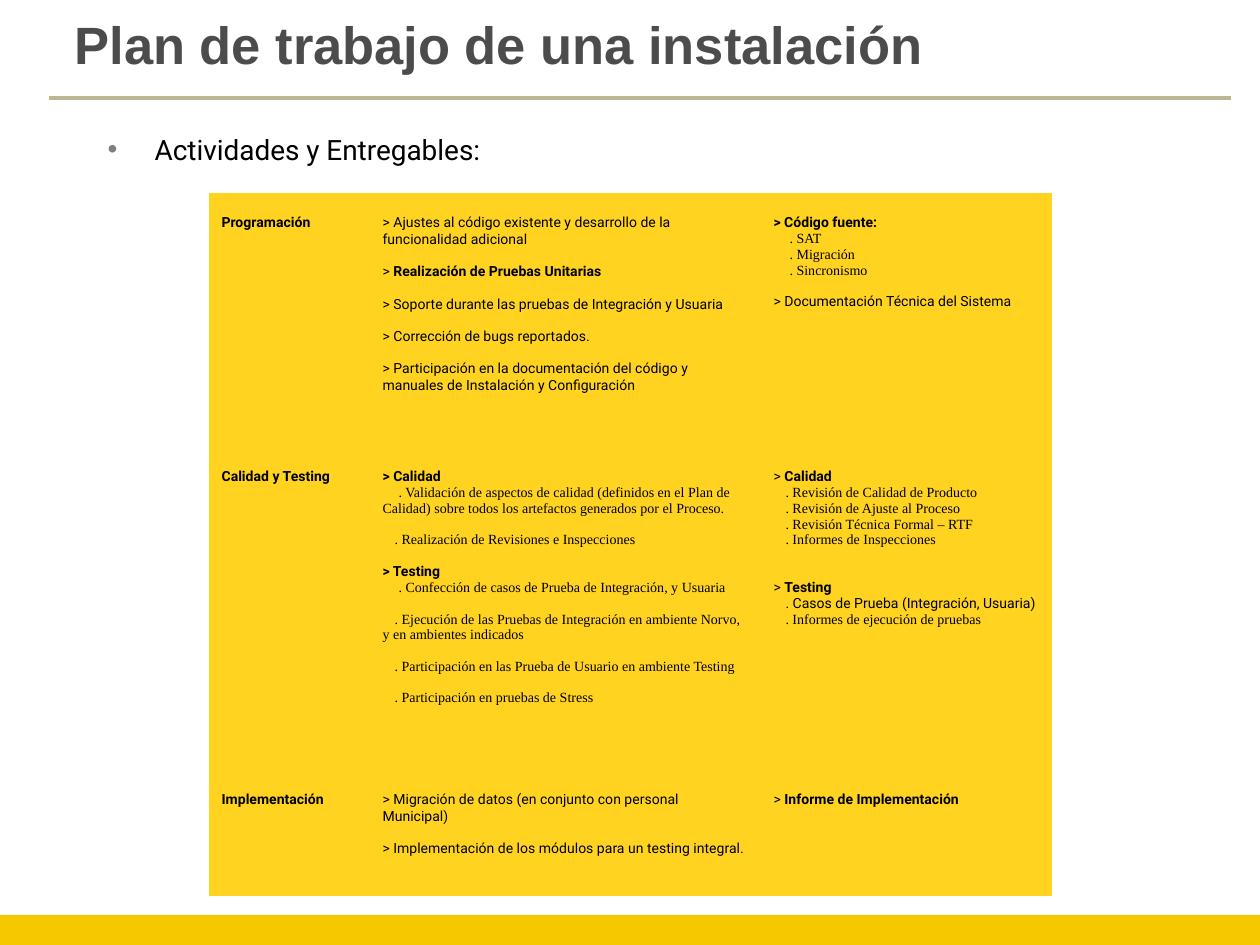
from dataclasses import dataclass

from lxml import etree
from pptx import Presentation
from pptx import util as u
from pptx.dml.color import RGBColor
from pptx.enum import shapes, text
from pptx.oxml import ns

PX = 914400 // 126
BLANK_LINE = 16
DEEP, SHALLOW = 16, 12  # first-line indents of the sub-items

BLACK = RGBColor(0x00, 0x00, 0x00)
DARK_GRAY = RGBColor(0x4C, 0x4C, 0x4C)
BULLET_GRAY = RGBColor(0x80, 0x80, 0x80)
RULE_BEIGE = RGBColor(0xB9, 0xB7, 0x95)
FOOTER_GOLD = RGBColor(0xF6, 0xC8, 0x00)
CELL_YELLOW = RGBColor(0xFF, 0xD3, 0x20)

ROBOTO, TIMES = "Roboto", "Times New Roman"
NO_STYLE_NO_GRID = "{2D5ABB26-0587-4C30-8999-92F81FD0307C}"


@dataclass
class Line:
    """One paragraph of a cell: an optional plain marker, then the wording."""
    wording: str
    bold: bool = False
    gap: int = 0
    marker: str = ""
    font: str = ROBOTO
    indent: int = 0


def heading(wording, gap=0, marker=""):
    return Line(wording, True, gap, marker)


def sub(wording, indent=SHALLOW, gap=0, font=TIMES):
    return Line(wording, gap=gap, font=font, indent=indent)


COLUMNS = [161, 391, 291]
ROWS = [254, 323, 126]
ACTIVITIES = [
    [
        [heading("Programación")],
        [
            Line("> Ajustes al código existente y desarrollo de la funcionalidad adicional"),
            heading("Realización de Pruebas Unitarias", 1, "> "),
            Line("> Soporte durante las pruebas de Integración y Usuaria", gap=1),
            Line("> Corrección de bugs reportados.", gap=1),
            Line("> Participación en la documentación del código y manuales de "
                 "Instalación y Configuración", gap=1),
        ],
        [
            heading("> Código fuente:"),
            sub(". SAT", DEEP),
            sub(". Migración", DEEP),
            sub(". Sincronismo", DEEP),
            Line("> Documentación Técnica del Sistema", gap=1),
        ],
    ],
    [
        [heading("Calidad y Testing")],
        [
            heading("> Calidad"),
            sub(". Validación de aspectos de calidad (definidos en el Plan de Calidad) "
                "sobre todos los artefactos generados por el Proceso.", DEEP),
            sub(". Realización de Revisiones e Inspecciones", gap=1),
            heading("> Testing", 1),
            sub(". Confección de casos de Prueba de Integración, y Usuaria", DEEP),
            sub(". Ejecución de las Pruebas de Integración en ambiente Norvo, y en "
                "ambientes indicados", gap=1),
            sub(". Participación en las Prueba de Usuario en ambiente Testing", gap=1),
            sub(". Participación en pruebas de Stress", gap=1),
        ],
        [
            heading("Calidad", marker="> "),
            sub(". Revisión de Calidad de Producto"),
            sub(". Revisión de Ajuste al Proceso"),
            sub(". Revisión Técnica Formal – RTF"),
            sub(". Informes de Inspecciones"),
            heading("Testing", 2, "> "),
            sub(". Casos de Prueba (Integración, Usuaria)", font=ROBOTO),
            sub(". Informes de ejecución de pruebas"),
        ],
    ],
    [
        [heading("Implementación")],
        [
            Line("> Migración de datos (en conjunto con personal Municipal)"),
            Line("> Implementación de los módulos para un testing integral.", gap=1),
        ],
        [heading("Informe de Implementación", marker="> ")],
    ],
]


def px(length):
    return u.Emu(length * PX)


def format_run(run, font, size, color, bold=False):
    run.font.name = font
    run.font.size = u.Pt(size)
    run.font.color.rgb = color
    run.font.bold = bold


def set_indent(paragraph, left, first):
    properties = paragraph._p.get_or_add_pPr()
    properties.set("marL", str(px(left)))
    properties.set("indent", str(px(first)))
    return properties


def fill_placeholder(holder, wording, box, font, size, color, bold=False):
    """Moves a placeholder, writes its one paragraph and returns that paragraph."""
    holder.left, holder.top, holder.width, holder.height = map(px, box)
    frame = holder.text_frame
    frame.text = wording
    frame.vertical_anchor = text.MSO_ANCHOR.TOP
    frame.auto_size = text.MSO_AUTO_SIZE.NONE
    paragraph = frame.paragraphs[0]
    paragraph.alignment = text.PP_ALIGN.LEFT
    format_run(paragraph.runs[0], font, size, color, bold)
    return paragraph


def add_bullet(paragraph, color):
    paragraph.space_before = u.Pt(8)
    properties = set_indent(paragraph, 47, -47)
    tint = etree.SubElement(properties, ns.qn("a:buClr"))
    etree.SubElement(tint, ns.qn("a:srgbClr"), val=str(color))
    etree.SubElement(properties, ns.qn("a:buChar"), char="•")


def add_footer_band(slide):
    band = slide.shapes.add_shape(shapes.MSO_SHAPE.RECTANGLE,
                                  0, px(915), px(1260), px(30))
    band.shadow.inherit = False
    band.fill.solid()
    band.fill.fore_color.rgb = FOOTER_GOLD
    band.line.fill.background()


def add_title_rule(slide):
    rule = slide.shapes.add_connector(shapes.MSO_CONNECTOR.STRAIGHT,
                                      px(49), px(98), px(1231), px(98))
    rule.line.color.rgb = RULE_BEIGE
    rule.line.width = u.Pt(2.25)
    etree.SubElement(rule._element.spPr, ns.qn("a:effectLst"))


def fill_cell(cell, lines):
    cell.fill.solid()
    cell.fill.fore_color.rgb = CELL_YELLOW
    cell.margin_top = px(6 + BLANK_LINE)
    frame = cell.text_frame
    for number, line in enumerate(lines):
        paragraph = frame.add_paragraph() if number else frame.paragraphs[0]
        paragraph.space_before = px(line.gap * BLANK_LINE)
        set_indent(paragraph, 0, line.indent)
        for wording, bold in ((line.marker, False), (line.wording, line.bold)):
            if wording:
                run = paragraph.add_run()
                run.text = wording
                format_run(run, line.font, 8, BLACK, bold)


def add_activity_table(slide):
    table = slide.shapes.add_table(len(ROWS), len(COLUMNS), px(209), px(193),
                                   px(sum(COLUMNS)), px(sum(ROWS))).table
    table.first_row = table.horz_banding = False
    table._tbl.tblPr.find(ns.qn("a:tableStyleId")).text = NO_STYLE_NO_GRID
    for column, width in zip(table.columns, COLUMNS):
        column.width = px(width)
    for row, height, contents in zip(table.rows, ROWS, ACTIVITIES):
        row.height = px(height)
        for cell, lines in zip(row.cells, contents):
            fill_cell(cell, lines)


def main():
    deck = Presentation()
    deck.slide_width, deck.slide_height = px(1260), px(945)
    slide = deck.slides.add_slide(deck.slide_layouts[1])
    add_footer_band(slide)
    add_title_rule(slide)
    title, body = slide.placeholders
    fill_placeholder(title, "Plan de trabajo de una instalación",
                     (62, 6, 978, 171), "Arial", 30, DARK_GRAY, True)
    topic = fill_placeholder(body, "Actividades y Entregables:",
                             (95, 126, 913, 95), ROBOTO, 16, BLACK)
    add_bullet(topic, BULLET_GRAY)
    add_activity_table(slide)
    deck.save("out.pptx")


if __name__ == "__main__":
    main()
